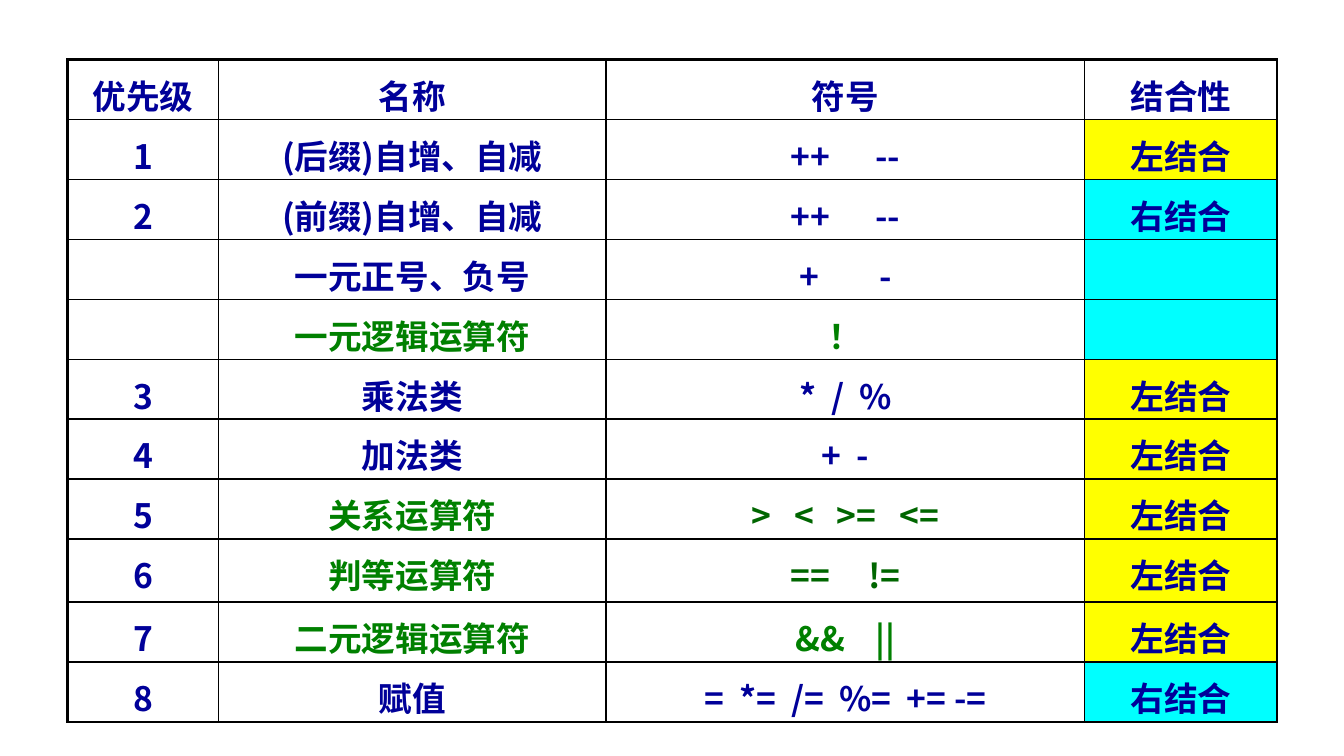
import pptx
import pptx.dml.color
import pptx.enum.text
import pptx.oxml
import pptx.oxml.ns
import pptx.util
from lxml import etree

Cm = pptx.util.Cm
Pt = pptx.util.Pt
qn = pptx.oxml.ns.qn

COLORS = {"navy": "000099", "green": "008000", "dark": "006600",
          "left": "FFFF00", "right": "00FFFF", "line": "000000"}
FONT = "Noto Sans CJK SC"
SIZE = 24
SPACE = 5.4  # width of one space in points
LEFT, RIGHT = "左结合", "右结合"
FILLS = {LEFT: "left", RIGHT: "right"}

HEADER = ["优先级", "名称", "符号", "结合性"]
# level, name, symbols, gap between symbols in spaces, associativity,
# colour of the name, colour of the symbols
OPERATORS = [
    ("1", "(后缀)自增、自减", ["++", "--"], 6, LEFT, "navy", "navy"),
    ("2", "(前缀)自增、自减", ["++", "--"], 6, RIGHT, "navy", "navy"),
    ("", "一元正号、负号", ["+", "-"], 8, "", "navy", "navy"),
    ("", "一元逻辑运算符", ["！"], 1, "", "green", "green"),
    ("3", "乘法类", ["*", "/", "%"], 2, LEFT, "navy", "navy"),
    ("4", "加法类", ["+", "-"], 2, LEFT, "navy", "navy"),
    ("5", "关系运算符", [">", "<", ">=", "<="], 3, LEFT, "green", "dark"),
    ("6", "判等运算符", ["==", "!="], 5, LEFT, "green", "dark"),
    ("7", "二元逻辑运算符", ["&&", "||"], 4, LEFT, "green", "green"),
    ("8", "赋值", ["=", "*=", "/=", "%=", "+= -="], 2, RIGHT, "navy", "navy"),
]
COL_WIDTHS = [3.81, 9.76, 12.07, 4.84]
ROW_HEIGHTS = [1.51] * 8 + [1.59] + [1.51] * 2


def rgb(name):
    return pptx.dml.color.RGBColor.from_string(COLORS[name])


def write(cell, parts, color="navy", gap=1):
    """Write centred parts, one widened space between each two."""
    p = cell.text_frame.paragraphs[0]
    p.alignment = pptx.enum.text.PP_ALIGN.CENTER
    p.line_spacing = 1.2
    p.font.size, p.font.bold, p.font.name = Pt(SIZE), True, FONT
    p.font.color.rgb = rgb(color)
    latin = p._p.pPr.find(qn("a:defRPr")).find(qn("a:latin"))
    latin.addnext(etree.Element(qn("a:ea"), typeface=FONT))
    for i, part in enumerate(parts):
        if i:
            r = p.add_run()
            r.text = " "
            r._r.get_or_add_rPr().set("spc", str(round((gap - 1) * SPACE * 100)))
        p.add_run().text = part


def set_borders(cell, outer):
    """Draw thick lines on the outer sides and thin lines elsewhere."""
    tcPr = cell._tc.get_or_add_tcPr()
    for side in "LRTB":
        width = Pt(2.25 if side in outer else 1)
        ln = etree.SubElement(tcPr, qn("a:ln" + side), w=str(int(width)))
        fill = etree.SubElement(ln, qn("a:solidFill"))
        etree.SubElement(fill, qn("a:srgbClr"), val=COLORS["line"])


def set_fill(cell, name):
    if name:
        cell.fill.solid()
        cell.fill.fore_color.rgb = rgb(name)
    else:
        cell.fill.background()


def operator_table(slide, x, y, w, h):
    rows, cols = len(OPERATORS) + 1, len(HEADER)
    table = slide.shapes.add_table(rows, cols, x, y, w, h).table
    table.first_row = table.horz_banding = False
    for col, width in zip(table.columns, COL_WIDTHS):
        col.width = Cm(width)
    for row, height in zip(table.rows, ROW_HEIGHTS):
        row.height = Cm(height)

    # Margins and borders
    for i in range(rows):
        for j in range(cols):
            cell = table.cell(i, j)
            cell.margin_top, cell.margin_bottom = Cm(0.03), 0
            edges = {"L": j == 0, "R": j == cols - 1,
                     "T": i == 0, "B": i == rows - 1}
            set_borders(cell, [side for side, on in edges.items() if on])

    # Header row
    for j, title in enumerate(HEADER):
        write(table.cell(0, j), [title])
        set_fill(table.cell(0, j), None)

    # Operators; a blank associativity carries on the fill above
    fill = None
    for i, operator in enumerate(OPERATORS, 1):
        level, name, symbols, gap, side, name_color, symbol_color = operator
        fill = FILLS.get(side, fill)
        contents = [([level], "navy", 1, None), ([name], name_color, 1, None),
                    (symbols, symbol_color, gap, None), ([side], "navy", 1, fill)]
        for j, (parts, color, space, cell_fill) in enumerate(contents):
            cell = table.cell(i, j)
            set_fill(cell, cell_fill)
            if any(parts):
                write(cell, parts, color, space)


def main():
    prs = pptx.Presentation()
    prs.slide_width, prs.slide_height = Cm(33.87), Cm(19.05)
    slide = prs.slides.add_slide(prs.slide_layouts[6])
    operator_table(slide, Cm(1.7), Cm(1.5), Cm(sum(COL_WIDTHS)), Cm(sum(ROW_HEIGHTS)))
    prs.save("out.pptx")


if __name__ == "__main__":
    main()
